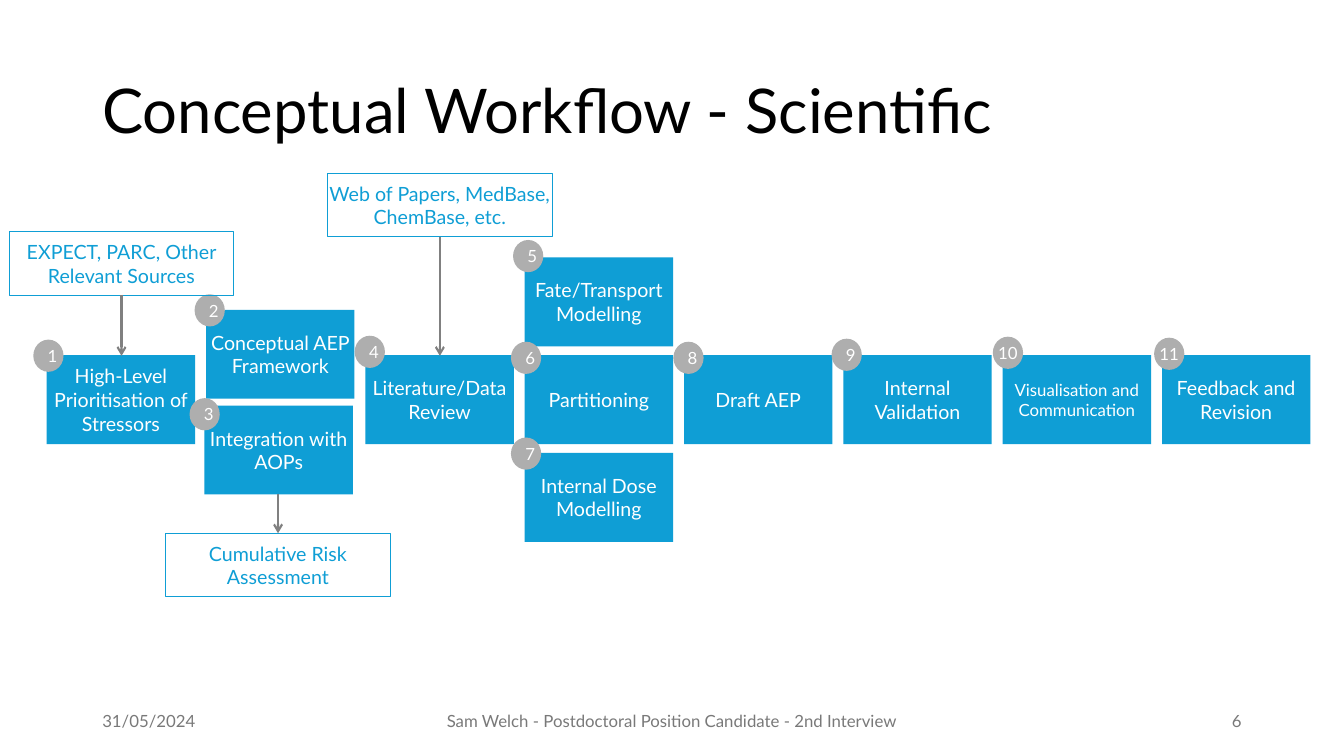
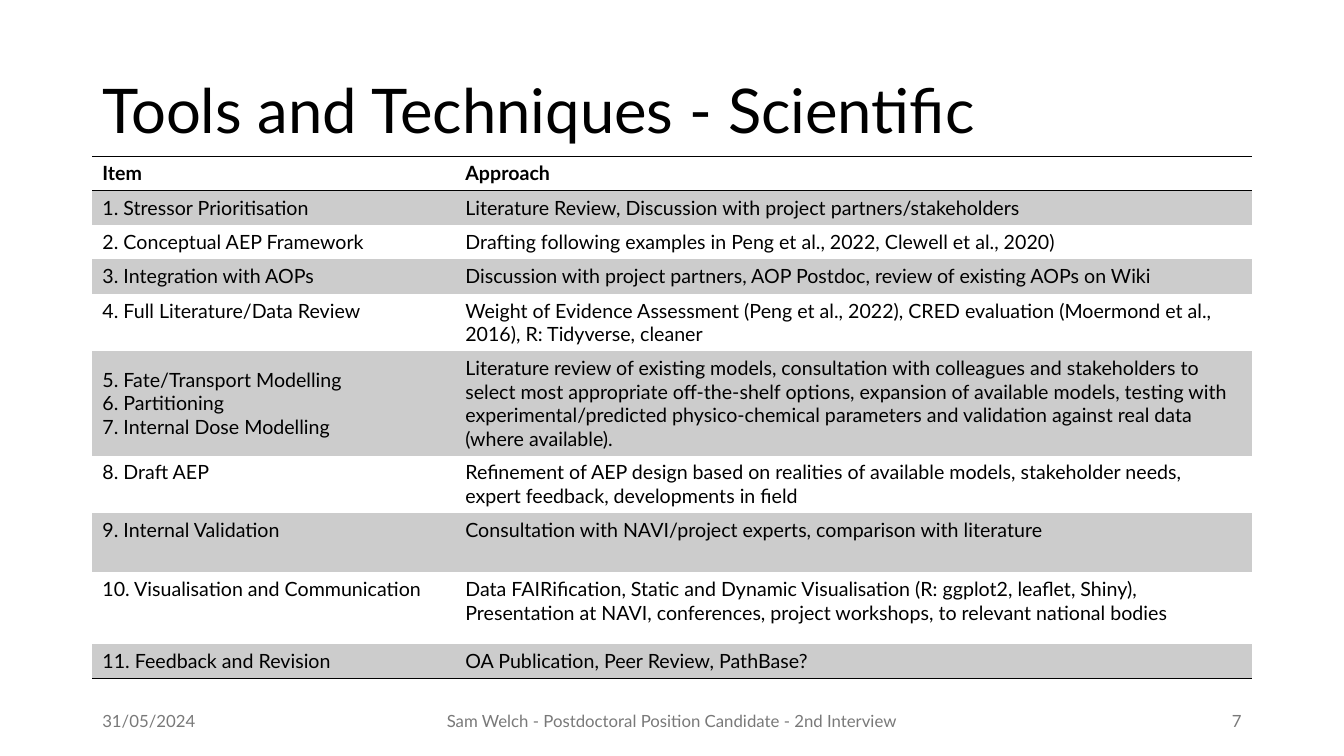
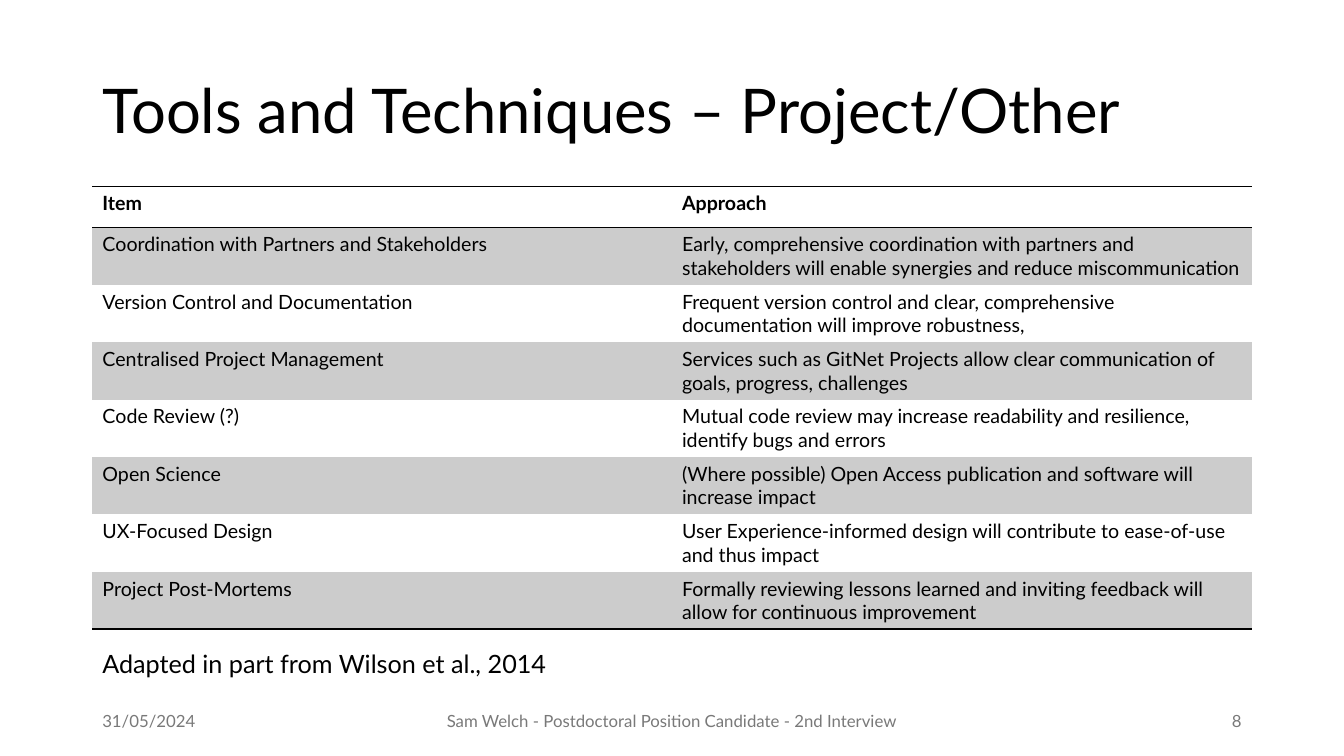
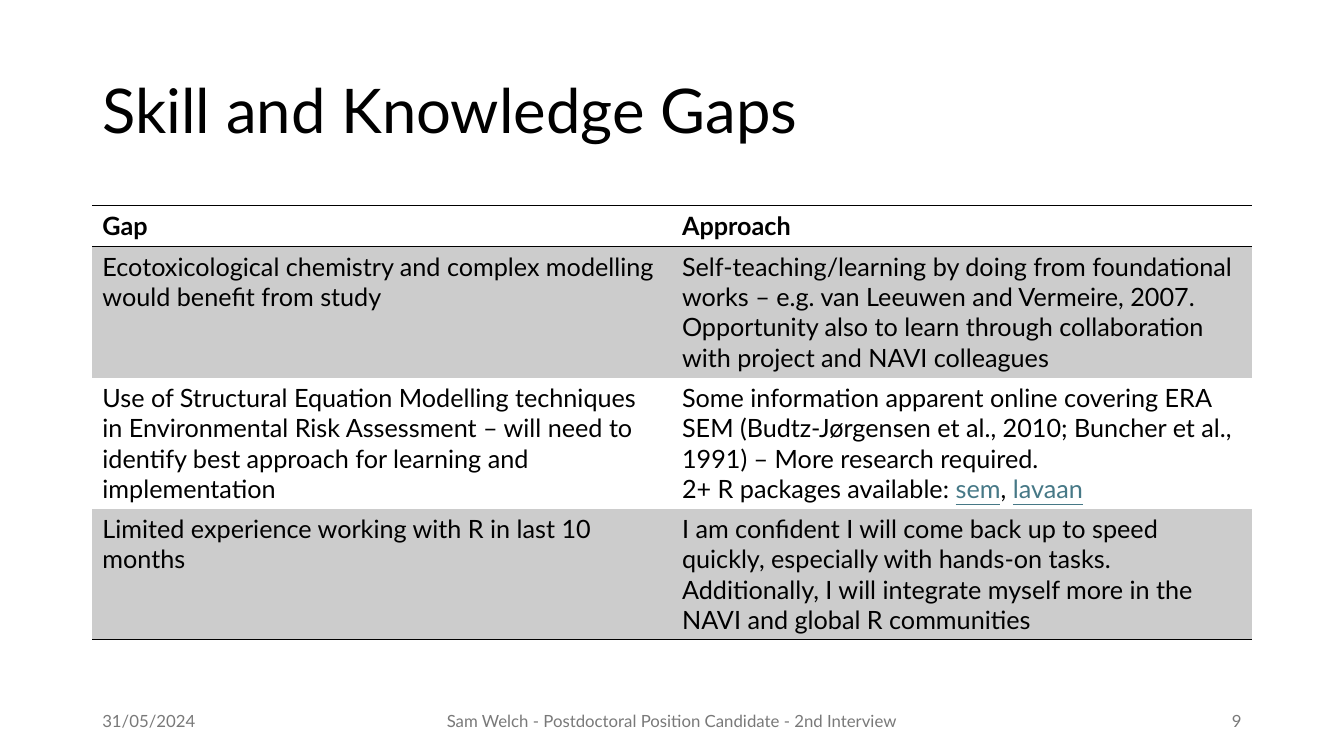
"""Build four slides on a research workflow, its tools and the skill gaps."""
import dataclasses

import lxml.etree
import pptx
import pptx.dml.color
import pptx.enum.shapes
import pptx.enum.text
import pptx.oxml
import pptx.oxml.ns
import pptx.util

Pt = pptx.util.Pt
RGB = pptx.dml.color.RGBColor.from_string
SHAPE = pptx.enum.shapes.MSO_SHAPE
ALIGN = pptx.enum.text.PP_ALIGN
MIDDLE = pptx.enum.text.MSO_ANCHOR.MIDDLE
qn = pptx.oxml.ns.qn


@dataclasses.dataclass(frozen=True)
class Theme:
    font: str = "Lato"
    ink: str = "000000"
    paper: str = "FFFFFF"
    blue: str = "0F9ED5"
    badge: str = "AEAEAE"
    arrow: str = "808080"
    footer: str = "797979"
    band: str = "CCCCCC"
    link: str = "467886"
    title_size: float = 44
    note_size: float = 18
    body_size: float = 14
    small_size: float = 12


theme = Theme()


def write(tf, text, size, color, align=ALIGN.LEFT, bold=False):
    """Fill a text frame, one paragraph a line; words between asterisks look like links."""
    for i, line in enumerate(text.split("\n")):
        p = tf.paragraphs[0] if i == 0 else tf.add_paragraph()
        p.alignment = align
        p.font.name = theme.font
        p.font.size = Pt(size)
        p.font.bold = bold
        p.font.color.rgb = RGB(color)
        for j, part in enumerate(line.split("*")):
            if part:
                r = p.add_run()
                r.text = part
                if j % 2:
                    r.font.underline = True
                    r.font.color.rgb = RGB(theme.link)


def add_box(s, kind, box, text, size, color, fill=None, line=None, margin=0.0, align=ALIGN.CENTER):
    """Add a text box, or a preset shape when a kind is given, with its text in the middle."""
    box = [Pt(v) for v in box]
    if kind is None:
        sp = s.shapes.add_textbox(*box)
    else:
        sp = s.shapes.add_shape(kind, *box)
        sp.shadow.inherit = False
        if fill:
            sp.fill.solid()
            sp.fill.fore_color.rgb = RGB(fill)
        else:
            sp.fill.background()
        if line:
            sp.line.color.rgb = RGB(line)
            sp.line.width = Pt(0.75)
        else:
            sp.line.fill.background()
    tf = sp.text_frame
    tf.word_wrap = True
    tf.vertical_anchor = MIDDLE
    tf.margin_left = tf.margin_right = Pt(margin)
    tf.margin_top = tf.margin_bottom = Pt(margin / 2)
    write(tf, text, size, color, align)
    return sp


prs = pptx.Presentation()
prs.slide_width, prs.slide_height = Pt(960), Pt(540)
left, width = 66, 828

titles = [
    "Conceptual Workflow - Scientific",
    "Tools and Techniques - Scientific",
    "Tools and Techniques – Project/Other",
    "Skill and Knowledge Gaps",
]
slides = []
for number, title in enumerate(titles, 6):
    s = prs.slides.add_slide(prs.slide_layouts[6])
    slides.append(s)
    sp = add_box(s, None, (left, 28.75, width, 104.4), title, theme.title_size, theme.ink,
                 margin=7.2, align=ALIGN.LEFT)
    sp.text_frame.paragraphs[0].line_spacing = 0.9
    for x, w, text, align in [
        (left, 216, "31/05/2024", ALIGN.LEFT),
        (282, 396, "Sam Welch - Postdoctoral Position Candidate - 2nd Interview", ALIGN.CENTER),
        (678, 216, str(number), ALIGN.RIGHT),
    ]:
        add_box(s, None, (x, 500.5, w, 28.75), text, theme.small_size, theme.footer,
                margin=7.2, align=align)

s = slides[0]
step_w, step_h = 106, 63.5
first_x, pitch, mid_y, model_gap = 86.4, 113.8, 285.5, 69.8
steps = [
    (0, 0, "High-Level Prioritisation of Stressors", 23.8, 242.6),
    (1, -32.4, "Conceptual AEP Framework", 139, 210.2),
    (0.99, 36, "Integration with AOPs", 135.4, 284.4),
    (2, 0, "Literature/Data Review", 253.4, 239.8),
    (3, -model_gap, "Fate/Transport Modelling", 366.5, 171.4),
    (3, 0, "Partitioning", 365, 244.1),
    (3, model_gap, "Internal Dose Modelling", 365, 312.5),
    (4, 0, "Draft AEP", 481, 244.1),
    (5, 0, "Internal Validation", 594, 241.9),
    (6, 0, "Visualisation and Communication", 709.2, 240.5),
    (7, 0, "Feedback and Revision", 824.4, 241.2),
]
for n, (column, dy, text, badge_x, badge_y) in enumerate(steps, 1):
    box = (first_x + pitch * column - step_w / 2, mid_y + dy - step_h / 2, step_w, step_h)
    size = theme.small_size if n == 10 else theme.body_size
    add_box(s, SHAPE.RECTANGLE, box, text, size, theme.paper, fill=theme.blue)
    add_box(s, SHAPE.OVAL, (badge_x, badge_y, 21.6, 23), str(n), theme.small_size, theme.paper,
            fill=theme.badge, margin=7.2 if n < 10 else 0)

side_w, side_h = 160.6, 45.4
side_boxes = [
    (86.8, 188.3, "EXPECT, PARC, Other Relevant Sources", 210.6, 254.2),
    (314.2, 146.5, "Web of Papers, MedBase, ChemBase, etc.", 169.2, 254.2),
    (198.6, 403.6, "Cumulative Risk Assessment", 352.8, 380.9),
]
for x, y, text, start, end in side_boxes:
    add_box(s, SHAPE.RECTANGLE, (x - side_w / 2, y - side_h / 2, side_w, side_h), text,
            theme.body_size, theme.blue, line=theme.blue)
    c = s.shapes.add_connector(pptx.enum.shapes.MSO_CONNECTOR.STRAIGHT,
                               Pt(x), Pt(start), Pt(x), Pt(end))
    c.line.color.rgb = RGB(theme.arrow)
    c.line.width = Pt(1.5)
    lxml.etree.SubElement(c.line._get_or_add_ln(), qn("a:tailEnd"), type="arrow")
    lxml.etree.SubElement(c._element.spPr, qn("a:effectLst"))

tool_rows = [
    (24.6, "Item", "Approach"),
    (24.6, "1. Stressor Prioritisation",
     "Literature Review, Discussion with project partners/stakeholders"),
    (24.6, "2. Conceptual AEP Framework",
     "Drafting following examples in Peng et al., 2022, Clewell et al., 2020)"),
    (24.6, "3. Integration with AOPs",
     "Discussion with project partners, AOP Postdoc, review of existing AOPs on Wiki"),
    (41, "4. Full Literature/Data Review",
     "Weight of Evidence Assessment (Peng et al., 2022), CRED evaluation (Moermond et al., 2016), "
     "R: Tidyverse, cleaner"),
    (74.5, "5. Fate/Transport Modelling\n6. Partitioning\n7. Internal Dose Modelling",
     "Literature review of existing models, consultation with colleagues and stakeholders to "
     "select most appropriate off-the-shelf options, expansion of available models, testing with "
     "experimental/predicted physico-chemical parameters and validation against real data "
     "(where available)."),
    (41, "8. Draft AEP",
     "Refinement of AEP design based on realities of available models, stakeholder needs, "
     "expert feedback, developments in field"),
    (42.5, "9. Internal Validation",
     "Consultation with NAVI/project experts, comparison with literature"),
    (51, "10. Visualisation and Communication",
     "Data FAIRification, Static and Dynamic Visualisation (R: ggplot2, leaflet, Shiny), "
     "Presentation at NAVI, conferences, project workshops, to relevant national bodies"),
    (24.6, "11. Feedback and Revision", "OA Publication, Peer Review, PathBase?"),
]
project_rows = [
    (29.2, "Item", "Approach"),
    (41, "Coordination with Partners and Stakeholders",
     "Early, comprehensive coordination with partners and stakeholders will enable synergies "
     "and reduce miscommunication"),
    (41, "Version Control and Documentation",
     "Frequent version control and clear, comprehensive documentation will improve robustness,"),
    (41, "Centralised Project Management",
     "Services such as GitNet Projects allow clear communication of goals, progress, challenges"),
    (41, "Code Review (?)",
     "Mutual code review may increase readability and resilience, identify bugs and errors"),
    (41, "Open Science",
     "(Where possible) Open Access publication and software will increase impact"),
    (41, "UX-Focused Design",
     "User Experience-informed design will contribute to ease-of-use and thus impact"),
    (41, "Project Post-Mortems",
     "Formally reviewing lessons learned and inviting feedback will allow for continuous "
     "improvement"),
]
gap_rows = [
    (29.2, "Gap", "Approach"),
    (93.6, "Ecotoxicological chemistry and complex modelling would benefit from study",
     "Self-teaching/learning by doing from foundational works – e.g. van Leeuwen and Vermeire, "
     "2007. Opportunity also to learn through collaboration with project and NAVI colleagues"),
    (93.6, "Use of Structural Equation Modelling techniques in Environmental Risk Assessment – "
     "will need to identify best approach for learning and implementation",
     "Some information apparent online covering ERA SEM (Budtz-Jørgensen et al., 2010; Buncher "
     "et al., 1991) – More research required.\n2+ R packages available: *sem*, *lavaan*"),
    (93.6, "Limited experience working with R in last 10 months",
     "I am confident I will come back up to speed quickly, especially with hands-on tasks. "
     "Additionally, I will integrate myself more in the NAVI and global R communities"),
]
tables = [
    (slides[1], 111.6, 259.2, theme.body_size, tool_rows),
    (slides[2], 133.2, 414, theme.body_size, project_rows),
    (slides[3], 146.9, 414, theme.note_size, gap_rows),
]
rule = ('<a:{side} xmlns:a="http://schemas.openxmlformats.org/drawingml/2006/main" w="12700">'
        '<a:solidFill><a:srgbClr val="{color}"/></a:solidFill></a:{side}>')
for s, top, first_w, size, rows in tables:
    height = sum(row[0] for row in rows)
    table = s.shapes.add_table(len(rows), 2, Pt(left), Pt(top), Pt(width), Pt(height)).table
    table.horz_banding = False
    style = table._tbl.tblPr.find(qn("a:tableStyleId"))
    style.text = "{2D5ABB26-0587-4C30-8999-92F81FD0307C}"
    table.columns[0].width, table.columns[1].width = Pt(first_w), Pt(width - first_w)
    for i, (row_h, *texts) in enumerate(rows):
        table.rows[i].height = Pt(row_h)
        sides = ["lnT"] if i == 0 else []
        if i in (0, len(rows) - 1):
            sides.append("lnB")
        for cell, text in zip(table.rows[i].cells, texts):
            write(cell.text_frame, text, size, theme.ink, bold=i == 0)
            if "\n" in texts[0]:
                cell.vertical_anchor = MIDDLE
            for side in sides:
                ln = pptx.oxml.parse_xml(rule.format(side=side, color=theme.ink))
                cell._tc.get_or_add_tcPr().append(ln)
            if i % 2:
                cell.fill.solid()
                cell.fill.fore_color.rgb = RGB(theme.band)
            else:
                cell.fill.background()

add_box(slides[2], None, (left, 459.4, 333.4, 28.8), "Adapted in part from Wilson et al., 2014",
        theme.note_size, theme.ink, margin=7.2, align=ALIGN.LEFT)

prs.save("out.pptx")
